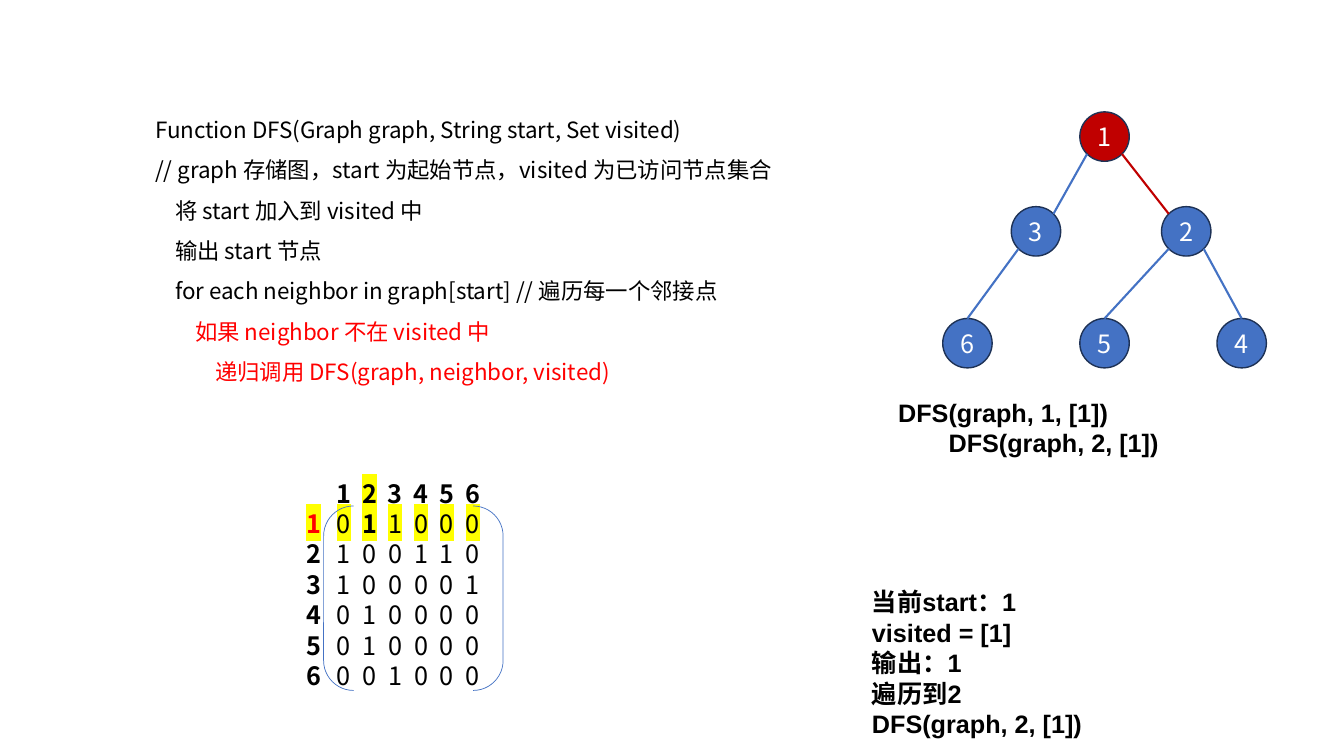
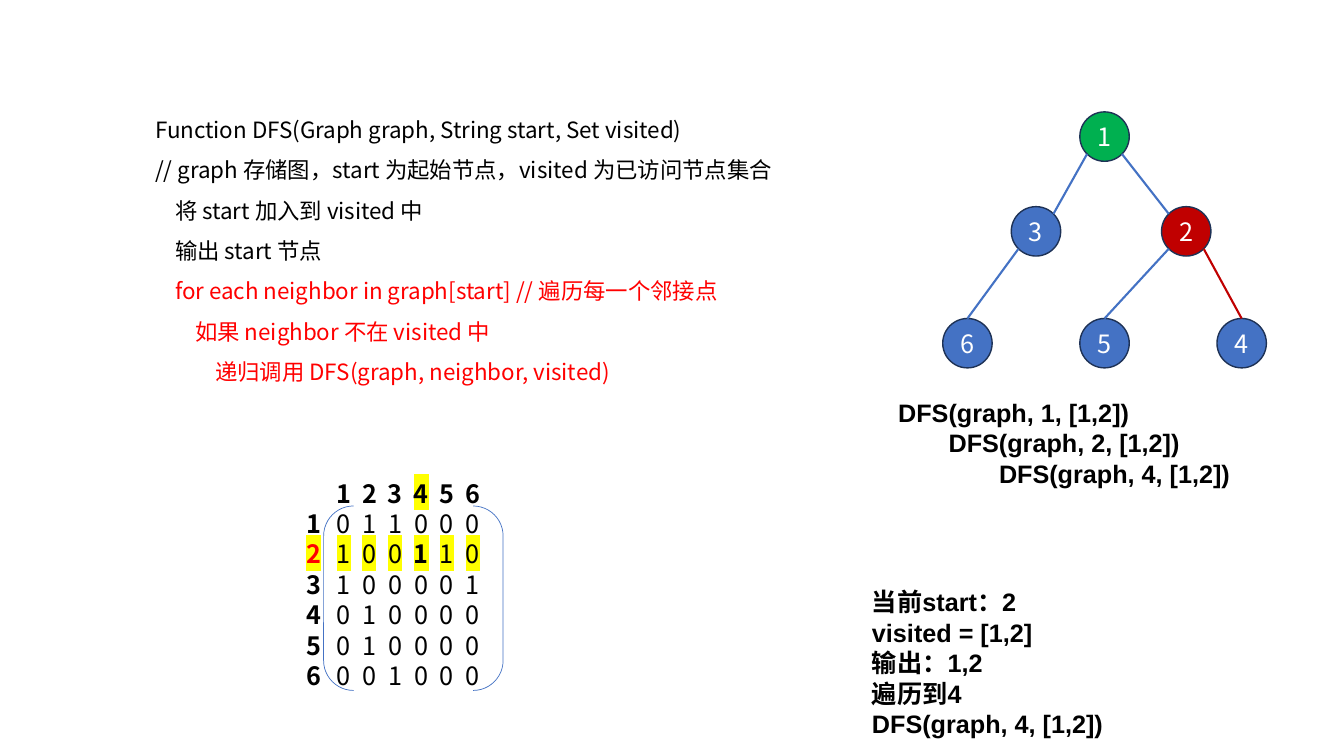
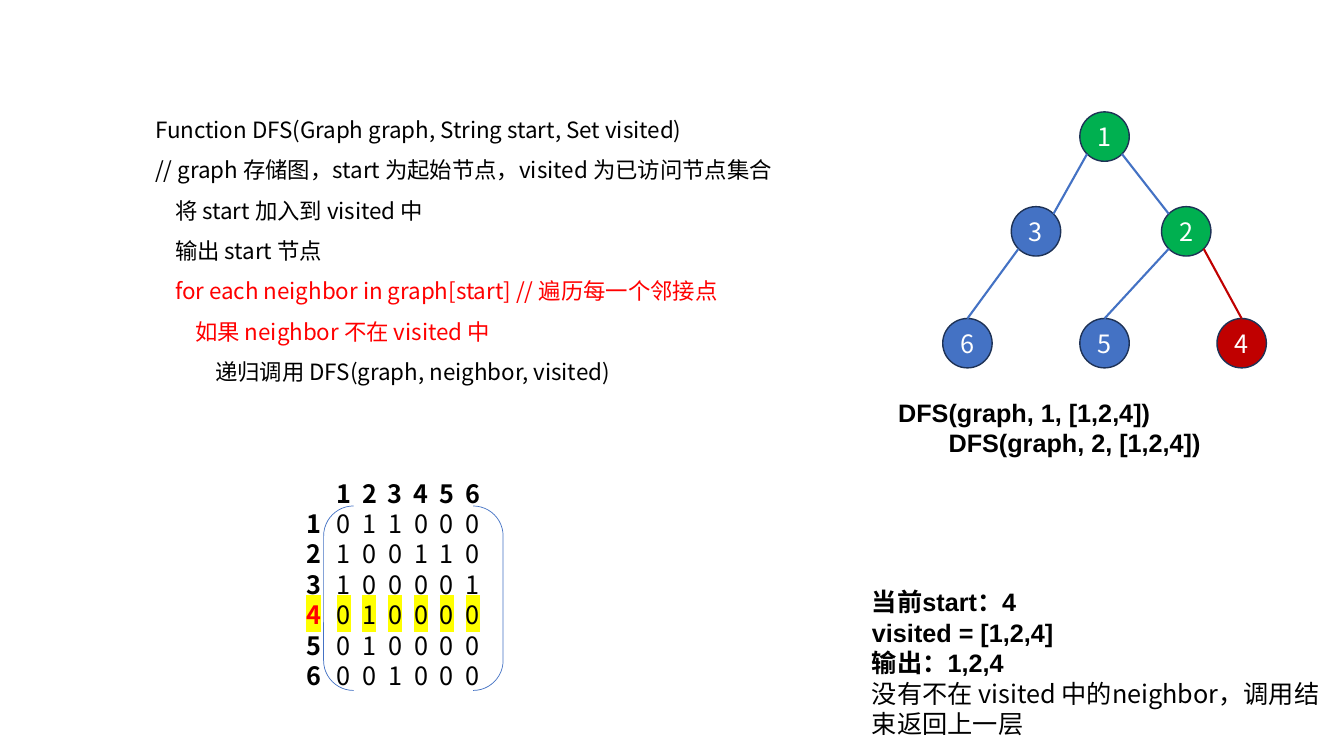
from dataclasses import dataclass
from math import sqrt

from lxml.etree import SubElement
from pptx import Presentation
from pptx.dml.color import RGBColor
from pptx.enum.shapes import MSO_CONNECTOR, MSO_SHAPE
from pptx.enum.text import MSO_ANCHOR, MSO_AUTO_SIZE, PP_ALIGN
from pptx.oxml.ns import qn
from pptx.util import Inches, Pt


@dataclass(frozen=True)
class Theme:
    text: str = "000000"
    active_line: str = "FF0000"
    marker: str = "FFFF00"
    waiting: str = "4472C4"
    current: str = "C00000"
    visited: str = "00B050"
    outline: str = "1E3256"
    node_text: str = "FFFFFF"
    sans: str = "Noto Sans CJK SC"
    latin: str = "Arial"
    code_size: float = 16
    body_size: float = 18
    code_leading: float = 28.8
    body_leading: float = 21.7


THEME = Theme()

CODE = [
    "Function DFS(Graph graph, String start, Set visited)",
    "// graph 存储图，start 为起始节点，visited 为已访问节点集合",
    "    将 start 加入到 visited 中",
    "    输出 start 节点",
    "    for each neighbor in graph[start] // 遍历每一个邻接点",
    "        如果 neighbor 不在 visited 中",
    "            递归调用 DFS(graph, neighbor, visited)",
]
MATRIX = ["011000", "100110", "100001", "010000", "010000", "001000"]
NODES = {
    1: (10.71, 1.11),
    3: (10.03, 2.05),
    2: (11.52, 2.05),
    6: (9.35, 3.16),
    5: (10.71, 3.16),
    4: (12.07, 3.16),
}
EDGES = [(1, 3), (1, 2), (2, 4), (3, 6), (2, 5)]
LEAVES = {4, 5, 6}
DIAMETER = 0.49
FIRST_COLUMN, COLUMN_STEP = 0.37, 0.256
CALL_INDENT = 0.5

STEPS = [
    dict(start=1, visited="1", next=2, calls=[1, 2], red_lines={5, 6}, red_edge=(1, 2)),
    dict(start=2, visited="1,2", next=4, calls=[1, 2, 4], red_lines={4, 5, 6}, red_edge=(2, 4)),
    dict(start=4, visited="1,2,4", next=None, calls=[1, 2], red_lines={4, 5}, red_edge=(2, 4)),
]
RETURN_NOTE = "没有不在 visited 中的neighbor，调用结束返回上一层"


def style(run, size=THEME.body_size, face=THEME.sans, color=THEME.text, bold=False, marked=False):
    font = run.font
    font.size, font.bold, font.name = Pt(size), bold, face
    font.color.rgb = RGBColor.from_string(color)
    properties = run._r.get_or_add_rPr()
    SubElement(properties, qn("a:ea")).set("typeface", THEME.sans)
    if marked:
        highlight = SubElement(properties, qn("a:highlight"))
        SubElement(highlight, qn("a:srgbClr")).set("val", THEME.marker)
        properties.find(qn("a:latin")).addprevious(highlight)


def add_lines(slide, box, lines, leading=THEME.body_leading):
    frame = slide.shapes.add_textbox(*map(Inches, box)).text_frame
    frame.word_wrap = True
    frame.auto_size = MSO_AUTO_SIZE.SHAPE_TO_FIT_TEXT
    frame.text = "\n".join(lines)
    for paragraph in frame.paragraphs:
        paragraph.line_spacing = Pt(leading)
    return frame.paragraphs


def add_code(slide, red_lines):
    for index, line in enumerate(add_lines(slide, (1.44, 0.97, 7.98, 2.93), CODE, THEME.code_leading)):
        color = THEME.active_line if index in red_lines else THEME.text
        style(line.runs[0], THEME.code_size, color=color)


def add_status(slide, step):
    visited, neighbor = step["visited"], step["next"]
    facts = [f"当前start：{step['start']}", f"visited = [{visited}]", f"输出：{visited}"]
    if neighbor:
        facts += [f"遍历到{neighbor}", call_text(neighbor, visited)]
    else:
        facts.append(RETURN_NOTE)
    for line in add_lines(slide, (8.55, 5.77, 4.69, 1.62), facts):
        is_note = line.text == RETURN_NOTE
        style(line.runs[0], face=THEME.sans if is_note else THEME.latin, bold=not is_note)


def call_text(node, visited):
    return f"DFS(graph, {node}, [{visited}])"


def add_call_stack(slide, step):
    calls = [call_text(node, step["visited"]) for node in step["calls"]]
    for depth, line in enumerate(add_lines(slide, (8.81, 3.89, 3.88, 1.01), calls)):
        line._p.get_or_add_pPr().set("marL", str(Inches(depth * CALL_INDENT)))
        style(line.runs[0], face=THEME.latin, bold=True)


def add_tree(slide, step):
    visited = set(map(int, step["visited"].split(",")))
    circles = {}
    for node, (left, top) in NODES.items():
        circle = slide.shapes.add_shape(MSO_SHAPE.OVAL, *map(Inches, (left, top, DIAMETER, DIAMETER)))
        circle.shadow.inherit = False
        state = THEME.current if node == step["start"] else THEME.visited if node in visited else THEME.waiting
        circle.fill.solid()
        circle.fill.fore_color.rgb = RGBColor.from_string(state)
        circle.line.color.rgb = RGBColor.from_string(THEME.outline)
        circle.line.width = Pt(1)
        frame = circle.text_frame
        frame.text = str(node)
        frame.vertical_anchor = MSO_ANCHOR.MIDDLE
        frame.paragraphs[0].alignment = PP_ALIGN.CENTER
        style(frame.paragraphs[0].runs[0], color=THEME.node_text)
        circles[node] = circle
    for edge in EDGES:
        add_edge(slide, circles, edge, THEME.current if edge == step["red_edge"] else THEME.waiting)


def add_edge(slide, circles, edge, color):
    parent, child = edge
    radius = DIAMETER / 2
    reach = radius / sqrt(2)
    (x1, y1), (x2, y2) = [(left + radius, top + radius) for left, top in (NODES[parent], NODES[child])]
    side = reach if x2 > x1 else -reach
    ends = (x1 + side, y1 + reach, x2 - side, y2 - reach)
    link = slide.shapes.add_connector(MSO_CONNECTOR.STRAIGHT, *map(Inches, ends))
    if child in LEAVES:
        link.end_connect(circles[child], 0)
    link.line.color.rgb = RGBColor.from_string(color)
    link.line.width = Pt(1.5)
    SubElement(link._element.spPr, qn("a:effectLst"))


def add_matrix(slide, start, neighbor):
    rows = add_lines(slide, (2.94, 4.69, 3.35, 2.22), [""] * (len(MATRIX) + 1))
    for number, row in enumerate(rows):
        tabs = SubElement(row._p.get_or_add_pPr(), qn("a:tabLst"))
        for column in range(len(MATRIX)):
            tab = SubElement(tabs, qn("a:tab"))
            tab.set("pos", str(Inches(FIRST_COLUMN + column * COLUMN_STEP)))
            tab.set("algn", "ctr")
        is_header, is_active = number == 0, number == start
        if not is_header:
            label = row.add_run()
            label.text = str(number)
            style(label, color=THEME.active_line if is_active else THEME.text, bold=True, marked=is_active)
        values = "123456" if is_header else MATRIX[number - 1]
        for column, value in enumerate(values, 1):
            is_target = column == neighbor
            for text in ("\t", value):
                run = row.add_run()
                run.text = text
                marked = is_active or (is_header and is_target and text == value)
                style(run, bold=is_header or (is_active and is_target), marked=marked)
    brackets = slide.shapes.add_shape(MSO_SHAPE.DOUBLE_BRACKET, *map(Inches, (3.21, 5.02, 1.78, 1.83)))
    brackets.shadow.inherit = False
    brackets.fill.background()
    brackets.line.color.rgb = RGBColor.from_string(THEME.waiting)
    brackets.line.width = Pt(0.5)


def main():
    deck = Presentation()
    deck.slide_width, deck.slide_height = Inches(13.33), Inches(7.5)
    for step in STEPS:
        slide = deck.slides.add_slide(deck.slide_layouts[6])
        add_code(slide, step["red_lines"])
        add_status(slide, step)
        add_tree(slide, step)
        add_matrix(slide, step["start"], step["next"])
        add_call_stack(slide, step)
    deck.save("out.pptx")


if __name__ == "__main__":
    main()
